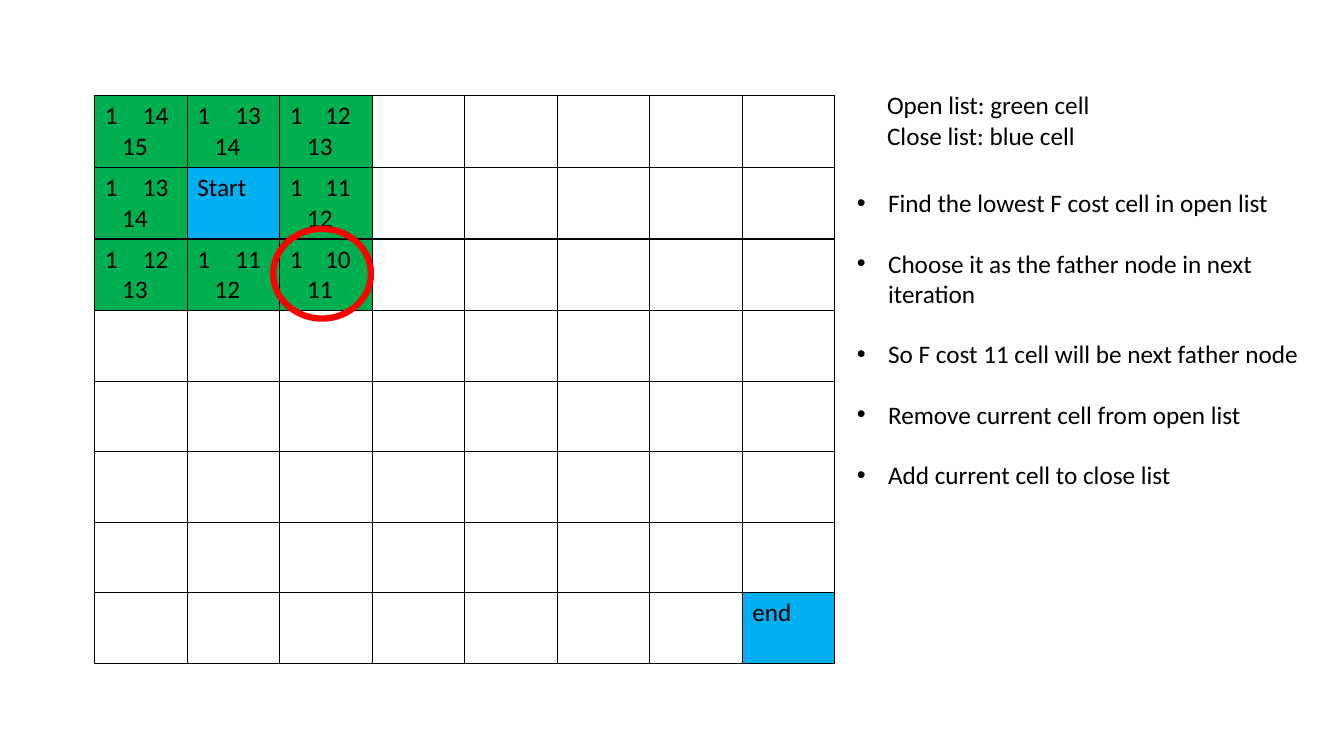
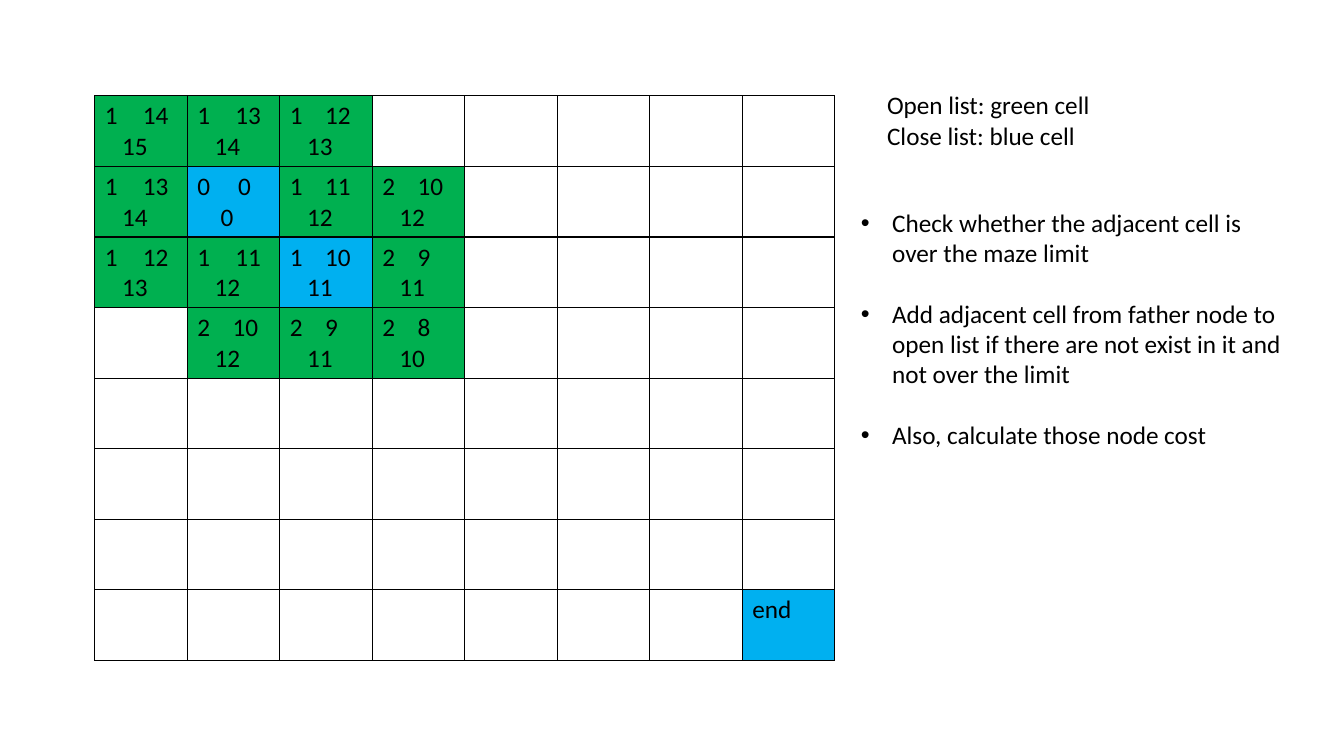
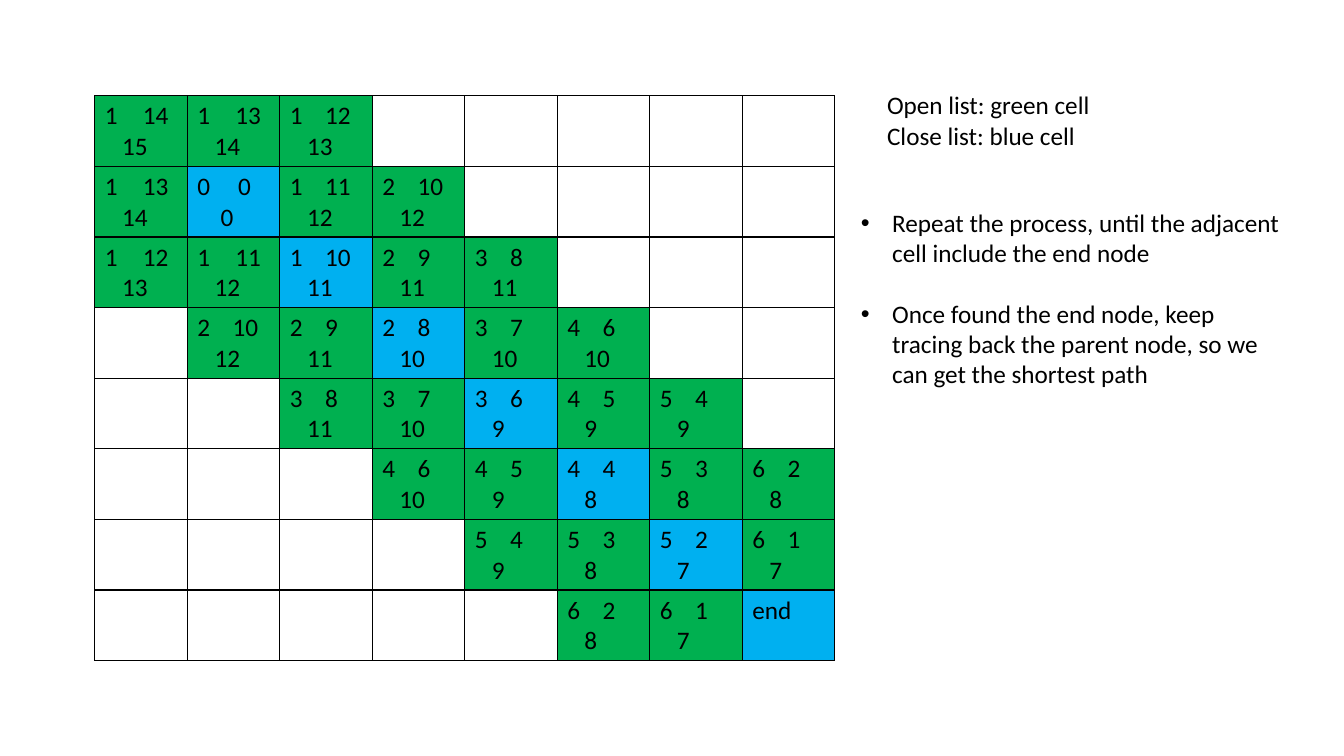
from itertools import product

from lxml.etree import SubElement
from pptx import Presentation
from pptx.dml.color import RGBColor
from pptx.enum.shapes import MSO_SHAPE
from pptx.enum.text import MSO_AUTO_SIZE
from pptx.oxml.ns import qn
from pptx.util import Inches, Pt

COLORS = {"text": "000000", "border": "000000", "open": "00B050",
          "closed": "00B0F0", "ring": "FF0000"}
FONT, SIZE = "Calibri", 18
GRID = 8
LEFT, TOP, CELL_H = 0.94, 0.95, 0.7
MAZE_W, MAZE_H = 7.34, GRID * CELL_H
START, END = (1, 1), (7, 7)
LEGEND = ["Open list: green cell", "Close list: blue cell"]
LEGEND_BOX = (8.7, 0.84, 2.66, 0.71)

STEPS = [
    {"fathers": 1, "start_label": "Start", "box": (8.4, 1.81, 4.82, 3.13),
     "ring": (2.71, 2.27, 0.97, 0.89),
     "notes": ["Find the lowest F cost cell in open list",
               "Choose it as the father node in next iteration",
               "So F cost 11 cell will be next father node",
               "Remove current cell from open list",
               "Add current cell to close list"]},
    {"fathers": 2, "box": (8.44, 2.01, 4.39, 2.52),
     "notes": ["Check whether the adjacent cell is over the maze limit",
               "Add adjacent cell from father node to open list if there are "
               "not exist in it and not over the limit",
               "Also, calculate those node cost"]},
    {"fathers": 6, "box": (8.44, 2.01, 4.39, 1.92),
     "notes": ["Repeat the process, until the adjacent cell include the end node",
               "Once found the end node, keep tracing back the parent node, "
               "so we can get the shortest path"]},
]


def color(name):
    return RGBColor.from_string(COLORS[name])


def inches(box):
    return [Inches(length) for length in box]


def style(paragraph):
    for run in paragraph.runs:
        run.font.name, run.font.size = FONT, Pt(SIZE)
        run.font.color.rgb = color("text")


def write(frame, lines):
    frame.text = "\n".join(lines)
    for paragraph in frame.paragraphs:
        style(paragraph)


def indent(paragraph, left, first=0):
    properties = paragraph._p.get_or_add_pPr()
    properties.set("marL", str(Inches(left)))
    properties.set("indent", str(Inches(first)))
    return properties


def add_text(slide, box, lines):
    frame = slide.shapes.add_textbox(*inches(box)).text_frame
    frame.word_wrap = True
    frame.auto_size = MSO_AUTO_SIZE.SHAPE_TO_FIT_TEXT
    write(frame, lines)
    return frame


def add_notes(slide, box, notes):
    frame = add_text(slide, box, notes)
    for index, paragraph in enumerate(frame.paragraphs, 1):
        if index < len(notes):
            paragraph.space_after = Pt(21.6)
        properties = indent(paragraph, 0.31, -0.31)
        SubElement(properties, qn("a:buFont"), typeface="Arial")
        SubElement(properties, qn("a:buChar"), char="•")


def add_borders(cell):
    properties = cell._tc.get_or_add_tcPr()
    for side in ("lnL", "lnR", "lnT", "lnB"):
        line = SubElement(properties, qn(f"a:{side}"), w=str(Pt(1)))
        fill = SubElement(line, qn("a:solidFill"))
        SubElement(fill, qn("a:srgbClr"), val=COLORS["border"])


def costs(place):
    if place == START:
        return 0, 0
    from_start = max(abs(a - b) for a, b in zip(place, START))
    to_end = sum(abs(a - b) for a, b in zip(place, END))
    return from_start, to_end


def gap_points(place):
    row, column = place
    if place == START:
        return 16
    return 14 if row < 3 and column < 2 else 12


def write_costs(cell, place):
    from_start, to_end = costs(place)
    total = from_start + to_end
    write(cell.text_frame, ["", str(total)])
    upper, lower = cell.text_frame.paragraphs
    for part in (str(from_start), " ", str(to_end)):
        upper.add_run().text = part
    style(upper)
    gap = upper.runs[1]
    gap.font._element.set("spc", str(gap_points(place) * 100))
    indent(lower, 0.17 if total else 0.23)


def add_maze(slide, step):
    maze = slide.shapes.add_table(
        GRID, GRID, *inches((LEFT, TOP, MAZE_W, MAZE_H))).table
    maze.first_row = maze.horz_banding = False
    for column in maze.columns:
        column.width = Inches(MAZE_W / GRID)
    for row in maze.rows:
        row.height = Inches(CELL_H)

    fathers = [(START[0] + i, START[1] + i) for i in range(step["fathers"])]
    labels = {END: "end"}
    if "start_label" in step:
        labels[START] = step["start_label"]
    for place in product(range(GRID), repeat=2):
        cell = maze.cell(*place)
        add_borders(cell)
        adjacent = any(max(abs(place[0] - r), abs(place[1] - c)) == 1
                       for r, c in fathers)
        closed = place in fathers or place == END
        if not (closed or adjacent):
            cell.fill.background()
            continue
        cell.fill.solid()
        cell.fill.fore_color.rgb = color("closed" if closed else "open")
        if place in labels:
            write(cell.text_frame, [labels[place]])
        else:
            write_costs(cell, place)


def add_ring(slide, box):
    ring = slide.shapes.add_shape(MSO_SHAPE.OVAL, *inches(box))
    ring.shadow.inherit = False
    ring.fill.background()
    ring.line.color.rgb = color("ring")
    ring.line.width = Pt(4.5)


def main():
    deck = Presentation()
    deck.slide_width, deck.slide_height = inches((13.33, 7.5))
    for step in STEPS:
        slide = deck.slides.add_slide(deck.slide_layouts[6])
        add_maze(slide, step)
        add_text(slide, LEGEND_BOX, LEGEND)
        add_notes(slide, step["box"], step["notes"])
        if "ring" in step:
            add_ring(slide, step["ring"])
    deck.save("out.pptx")


if __name__ == "__main__":
    main()
